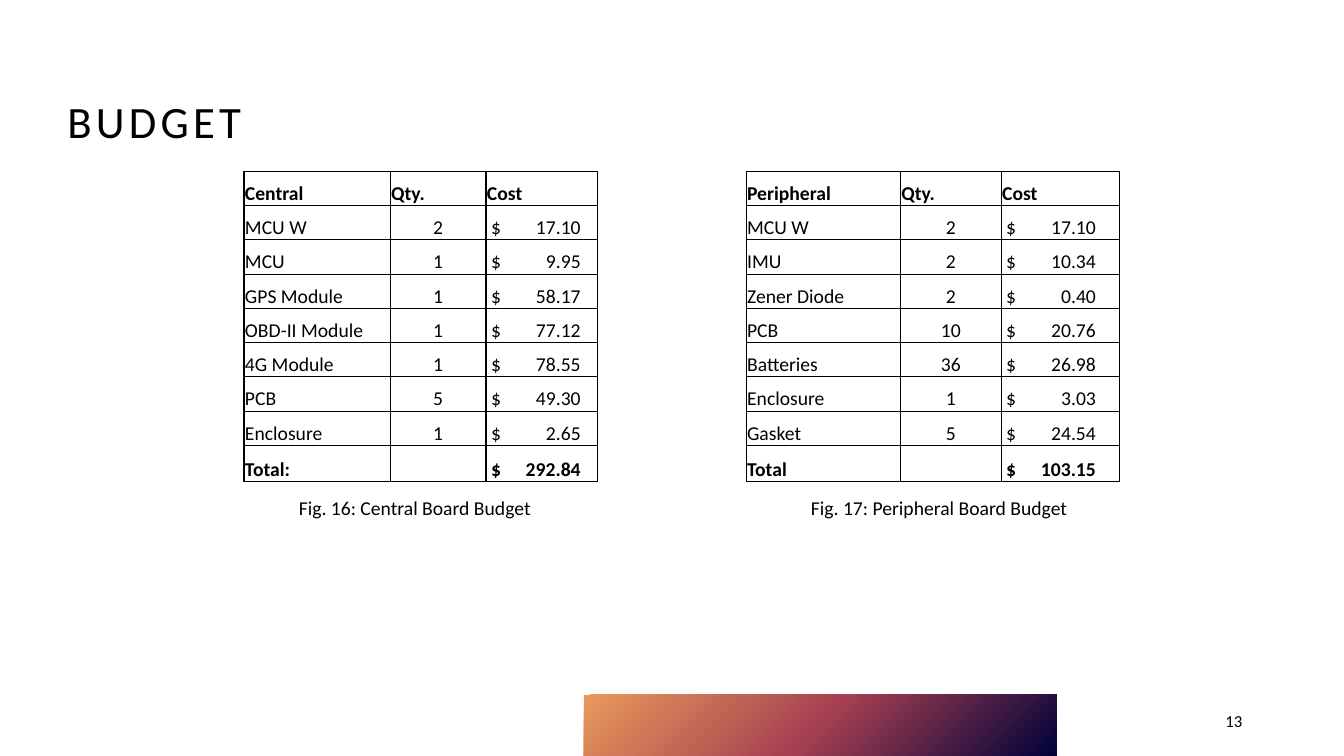
from dataclasses import dataclass

from lxml.etree import SubElement
from pptx import Presentation
from pptx.dml.color import RGBColor
from pptx.enum.shapes import MSO_SHAPE
from pptx.enum.text import MSO_ANCHOR, PP_ALIGN
from pptx.oxml import parse_xml
from pptx.oxml.ns import nsdecls, qn
from pptx.util import Inches, Pt

COLORS = {"text": "000000", "navy": "00023A", "rose": "A53F51", "orange": "E99A5B"}
FONT = "Calibri"
TABLE_TOP = 1.7
ROW_H, TOTAL_H = 0.34, 0.36


@dataclass
class Budget:
    left: float
    col_widths: tuple[float, ...]
    heading: str
    items: list[tuple[str, str, str]]
    total_label: str
    total: str
    caption: str
    caption_left: float
    caption_width: float


BUDGETS = [
    Budget(2.42, (1.45, 0.95, 1.11), "Central", [
        ("MCU W", "2", "17.10"),
        ("MCU", "1", "9.95"),
        ("GPS Module", "1", "58.17"),
        ("OBD-II Module", "1", "77.12"),
        ("4G Module", "1", "78.55"),
        ("PCB", "5", "49.30"),
        ("Enclosure", "1", "2.65"),
    ], "Total:", "292.84", "Fig. 16: Central Board Budget", 2.81, 2.61),
    Budget(7.4, (1.53, 1.0, 1.17), "Peripheral", [
        ("MCU W", "2", "17.10"),
        ("IMU", "2", "10.34"),
        ("Zener Diode", "2", "0.40"),
        ("PCB", "10", "20.76"),
        ("Batteries", "36", "26.98"),
        ("Enclosure", "1", "3.03"),
        ("Gasket", "5", "24.54"),
    ], "Total", "103.15", "Fig. 17: Peripheral Board Budget", 7.92, 2.79),
]


def write(tf, text: str, *, size: float = 14, bold: bool = False,
          align=PP_ALIGN.LEFT, spacing: float = 0):
    """Put one formatted run in the first paragraph and return the paragraph."""
    p = tf.paragraphs[0]
    p.alignment = align
    r = p.add_run()
    r.text = text
    r.font.name = FONT
    r.font.size = Pt(size)
    r.font.bold = bold
    r.font.color.rgb = RGBColor.from_string(COLORS["text"])
    if spacing:
        r.font._element.set("spc", str(int(spacing * 100)))
    return p


def add_text(s, left: float, top: float, width: float, height: float,
             text: str, anchor=MSO_ANCHOR.TOP, **fmt):
    tf = s.shapes.add_textbox(Inches(left), Inches(top), Inches(width), Inches(height)).text_frame
    tf.word_wrap = True
    tf.vertical_anchor = anchor
    return tf, write(tf, text, **fmt)


def style_cell(cell) -> None:
    cell.margin_left = cell.margin_right = cell.margin_top = Inches(0.01)
    cell.margin_bottom = 0
    cell.vertical_anchor = MSO_ANCHOR.BOTTOM
    tcPr = cell._tc.get_or_add_tcPr()
    for side in ("lnL", "lnR", "lnT", "lnB"):
        ln = SubElement(tcPr, qn(f"a:{side}"), w=str(Pt(1)))
        fill = SubElement(ln, qn("a:solidFill"))
        SubElement(fill, qn("a:srgbClr"), val=COLORS["text"])
    cell.fill.background()


def write_cost(cell, amount: str, bold: bool) -> None:
    """Dollar sign at the left, amount against a right tab stop."""
    cell.margin_left = Inches(0.05)
    p = write(cell.text_frame, f"$\t{amount}", bold=bold)
    tabs = SubElement(p._p.get_or_add_pPr(), qn("a:tabLst"))
    SubElement(tabs, qn("a:tab"), pos=str(Inches(0.89)), algn="r")


def add_budget(s, b: Budget) -> None:
    rows = [(b.heading, "Qty.", "Cost"), *b.items, (b.total_label, "", b.total)]
    last = len(rows) - 1
    height = ROW_H * last + TOTAL_H
    table = s.shapes.add_table(len(rows), 3, Inches(b.left), Inches(TABLE_TOP),
                               Inches(sum(b.col_widths)), Inches(height)).table
    table.first_row = table.horz_banding = False
    for col, width in zip(table.columns, b.col_widths):
        col.width = Inches(width)
    for i, row in enumerate(rows):
        table.rows[i].height = Inches(TOTAL_H if i == last else ROW_H)
        bold = i in (0, last)
        for j, text in enumerate(row):
            cell = table.cell(i, j)
            style_cell(cell)
            if j == 2 and i > 0:
                write_cost(cell, text, bold)
            elif text:
                centred = j == 1 and i > 0
                write(cell.text_frame, text, bold=bold,
                      align=PP_ALIGN.CENTER if centred else PP_ALIGN.LEFT)
    add_text(s, b.caption_left, 4.87, b.caption_width, 0.34, b.caption, align=PP_ALIGN.CENTER)


def add_gradient_bar(s) -> None:
    sp = s.shapes.add_shape(MSO_SHAPE.RECTANGLE, Inches(5.79), Inches(6.89),
                            Inches(4.69), Inches(0.61))
    sp.shadow.inherit = False
    sp.line.fill.background()
    stops = "".join(
        f'<a:gs pos="{pos * 1000}"><a:srgbClr val="{COLORS[name]}"/></a:gs>'
        for pos, name in ((0, "navy"), (50, "rose"), (100, "orange")))
    gradient = parse_xml(
        f'<a:gradFill {nsdecls("a")} rotWithShape="1"><a:gsLst>{stops}</a:gsLst>'
        '<a:path path="circle"><a:fillToRect l="100000" t="100000"/></a:path>'
        '</a:gradFill>')
    sp._element.spPr.find(qn("a:prstGeom")).addnext(gradient)


def main() -> None:
    prs = Presentation()
    prs.slide_width, prs.slide_height = Inches(13.33), Inches(7.5)
    s = prs.slides.add_slide(prs.slide_layouts[6])

    # Footer bar and title
    add_gradient_bar(s)
    tf, p = add_text(s, 0.57, 0.71, 6.83, 0.99, "BUDGET", MSO_ANCHOR.MIDDLE, size=32, spacing=3)
    tf.margin_bottom = 0
    p.line_spacing = 0.9

    # Budget tables with captions
    for b in BUDGETS:
        add_budget(s, b)

    # Slide number
    add_text(s, 9.42, 6.95, 3, 0.4, "13", MSO_ANCHOR.MIDDLE, size=12, align=PP_ALIGN.RIGHT)

    prs.save("out.pptx")


if __name__ == "__main__":
    main()
